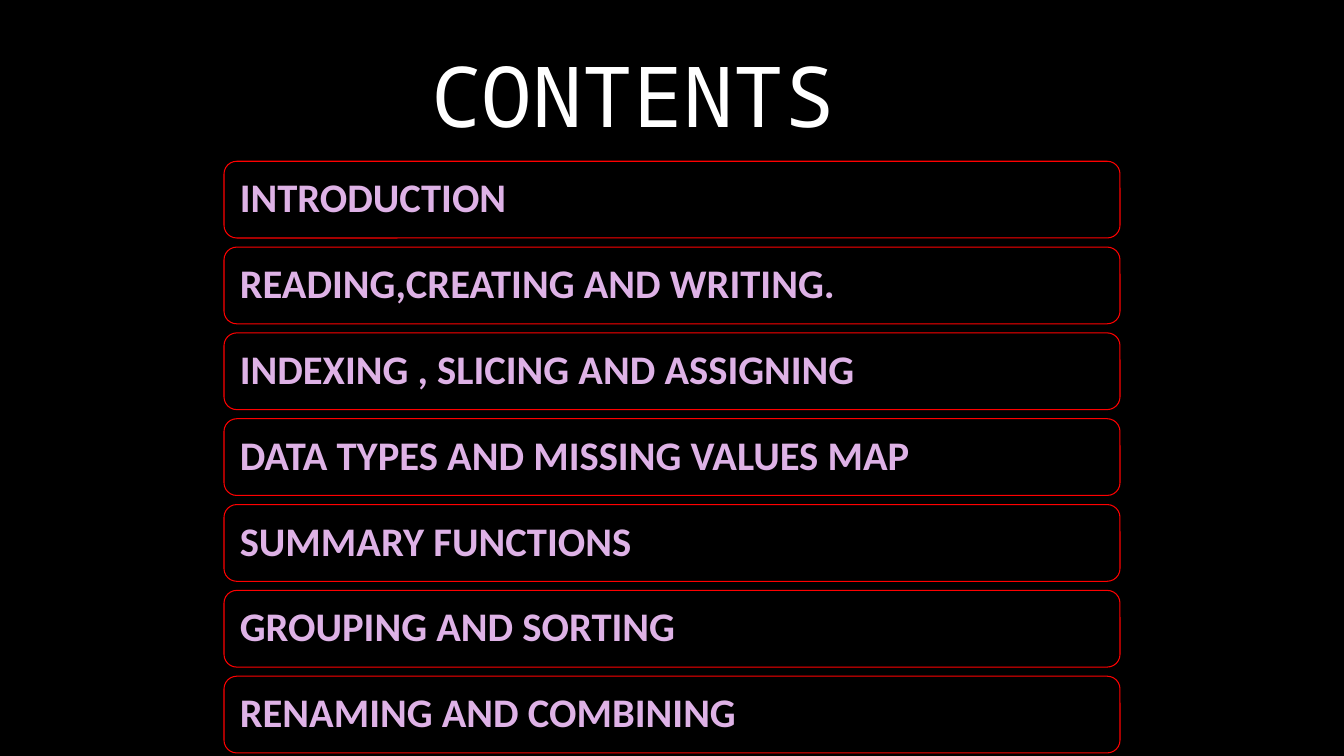
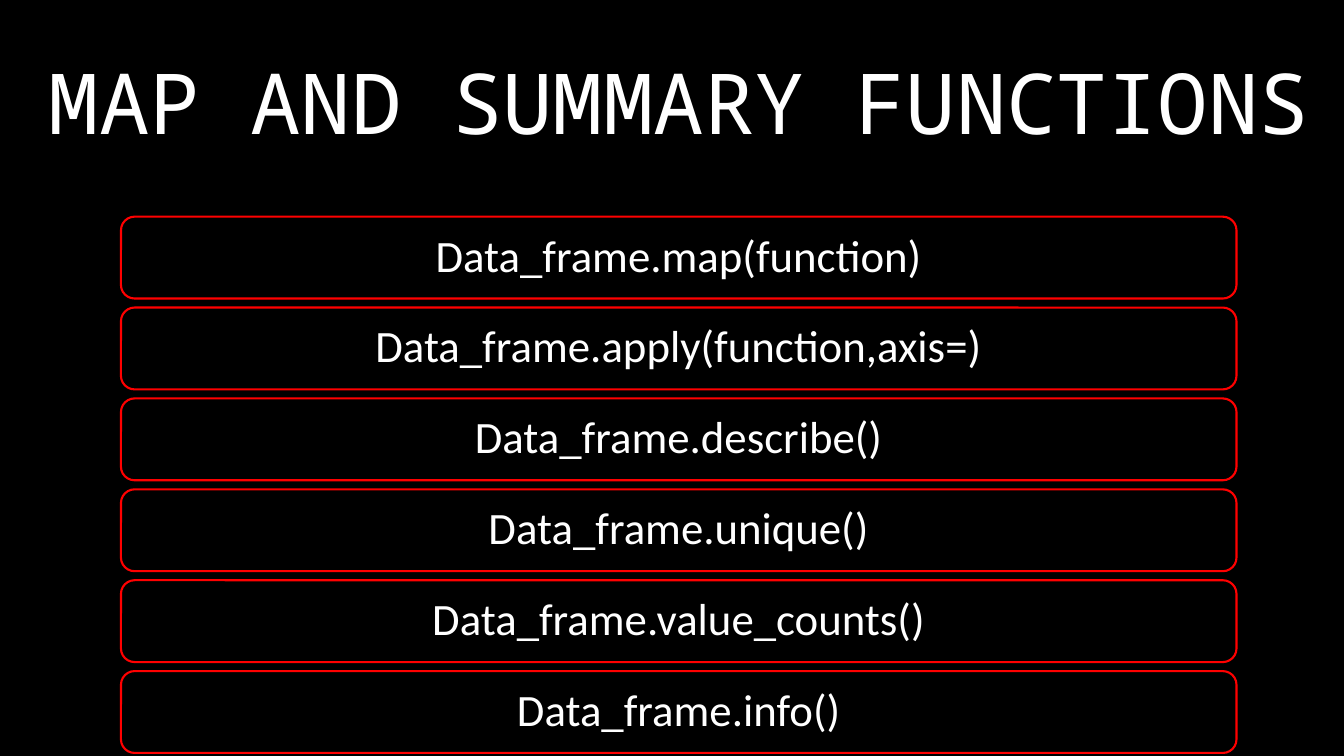
"""Build two dark slides that list topics and functions in outlined bars."""
from dataclasses import dataclass

from pptx import Presentation
from pptx.dml.color import RGBColor
from pptx.enum.shapes import MSO_SHAPE
from pptx.enum.text import MSO_ANCHOR, PP_ALIGN
from pptx.util import Inches, Pt

ROUNDED = MSO_SHAPE.ROUNDED_RECTANGLE
MIDDLE = MSO_ANCHOR.MIDDLE
LEFT, CENTER = PP_ALIGN.LEFT, PP_ALIGN.CENTER

COLORS = {
    "background": "000000",
    "title": "FFFFFF",
    "outline": "FF0000",
    "topic": "DEB2E6",
    "function": "FFFFFF",
}
TITLE_FONT, BODY_FONT = "Noto Sans Mono", "Calibri"
TITLE_SIZE = 60
SLIDE_WIDTH, SLIDE_HEIGHT = Inches(13.333), Inches(7.5)
COLUMN, ROW = SLIDE_WIDTH / 100, SLIDE_HEIGHT / 75
LIST_BOTTOM, BAR_GAP = 74.7, 0.9
BLANK_LAYOUT = 6


@dataclass(frozen=True)
class Box:
    """An area in grid columns and rows."""
    left: float
    top: float
    width: float
    height: float

    def lengths(self) -> tuple[int, int, int, int]:
        """Return the area in slide units."""
        return (round(self.left * COLUMN), round(self.top * ROW),
                round(self.width * COLUMN), round(self.height * ROW))


@dataclass(frozen=True)
class TextStyle:
    """The look of one line of text."""
    font: str
    size: float
    color: str
    bold: bool = False
    alignment: PP_ALIGN = CENTER
    spacing: float = 1.0


@dataclass(frozen=True)
class BarList:
    """A stack of equal bars reaching to the bottom of the slide."""
    left: float
    top: float
    width: float
    style: TextStyle
    line_width: float
    margin: float
    labels: tuple[str, ...]


@dataclass(frozen=True)
class SlideContent:
    """A title with its area and the bars below it."""
    title: str
    title_box: Box
    bars: BarList


TITLE_STYLE = TextStyle(TITLE_FONT, TITLE_SIZE, "title")
TOPIC_STYLE = TextStyle(BODY_FONT, 29, "topic", True, LEFT, 0.9)
FUNCTION_STYLE = TextStyle(BODY_FONT, 32, "function", spacing=0.9)

SLIDES = (
    SlideContent(
        "CONTENTS",
        Box(5.55, 1.4, 83.1, 15.9),
        BarList(16.67, 16, 66.67, TOPIC_STYLE, 0.75, 0.12, (
            "INTRODUCTION",
            "READING,CREATING AND WRITING.",
            "INDEXING , SLICING AND ASSIGNING",
            "DATA TYPES AND MISSING VALUES MAP",
            "SUMMARY FUNCTIONS",
            "GROUPING AND SORTING",
            "RENAMING AND COMBINING",
        )),
    ),
    SlideContent(
        "MAP AND SUMMARY FUNCTIONS",
        Box(1, 1.2, 99, 17.6),
        BarList(9, 21.5, 83, FUNCTION_STYLE, 1.5, 0.13, (
            "Data_frame.map(function)",
            "Data_frame.apply(function,axis=)",
            "Data_frame.describe()",
            "Data_frame.unique()",
            "Data_frame.value_counts()",
            "Data_frame.info()",
        )),
    ),
)


def color(name: str) -> RGBColor:
    """Look up a named colour."""
    return RGBColor.from_string(COLORS[name])


def write_text(shape, text: str, style: TextStyle) -> None:
    """Put one styled line of text in a shape."""
    frame = shape.text_frame
    frame.text = text
    frame.word_wrap = True
    frame.vertical_anchor = MIDDLE
    paragraph = frame.paragraphs[0]
    paragraph.alignment = style.alignment
    paragraph.line_spacing = style.spacing
    font = paragraph.runs[0].font
    font.name = style.font
    font.size = Pt(style.size)
    font.bold = style.bold
    font.color.rgb = color(style.color)


def add_bars(slide, bars: BarList) -> None:
    """Draw the labelled bars at equal gaps."""
    count = len(bars.labels)
    pitch = (LIST_BOTTOM - bars.top + BAR_GAP) / count
    for index, label in enumerate(bars.labels):
        box = Box(bars.left, bars.top + index * pitch, bars.width, pitch - BAR_GAP)
        shape = slide.shapes.add_shape(ROUNDED, *box.lengths())
        shape.shadow.inherit = False
        shape.fill.background()
        shape.line.color.rgb = color("outline")
        shape.line.width = Pt(bars.line_width)
        frame = shape.text_frame
        frame.margin_left = frame.margin_right = Inches(bars.margin)
        frame.margin_top = frame.margin_bottom = Inches(bars.margin)
        write_text(shape, label, bars.style)


def add_slide(presentation, content: SlideContent) -> None:
    """Add one slide with its background, title and bars."""
    slide = presentation.slides.add_slide(presentation.slide_layouts[BLANK_LAYOUT])
    fill = slide.background.fill
    fill.solid()
    fill.fore_color.rgb = color("background")
    title = slide.shapes.add_textbox(*content.title_box.lengths())
    write_text(title, content.title, TITLE_STYLE)
    add_bars(slide, content.bars)


def main() -> None:
    """Build and save the presentation."""
    presentation = Presentation()
    presentation.slide_width = SLIDE_WIDTH
    presentation.slide_height = SLIDE_HEIGHT
    for content in SLIDES:
        add_slide(presentation, content)
    presentation.save("out.pptx")


if __name__ == "__main__":
    main()
